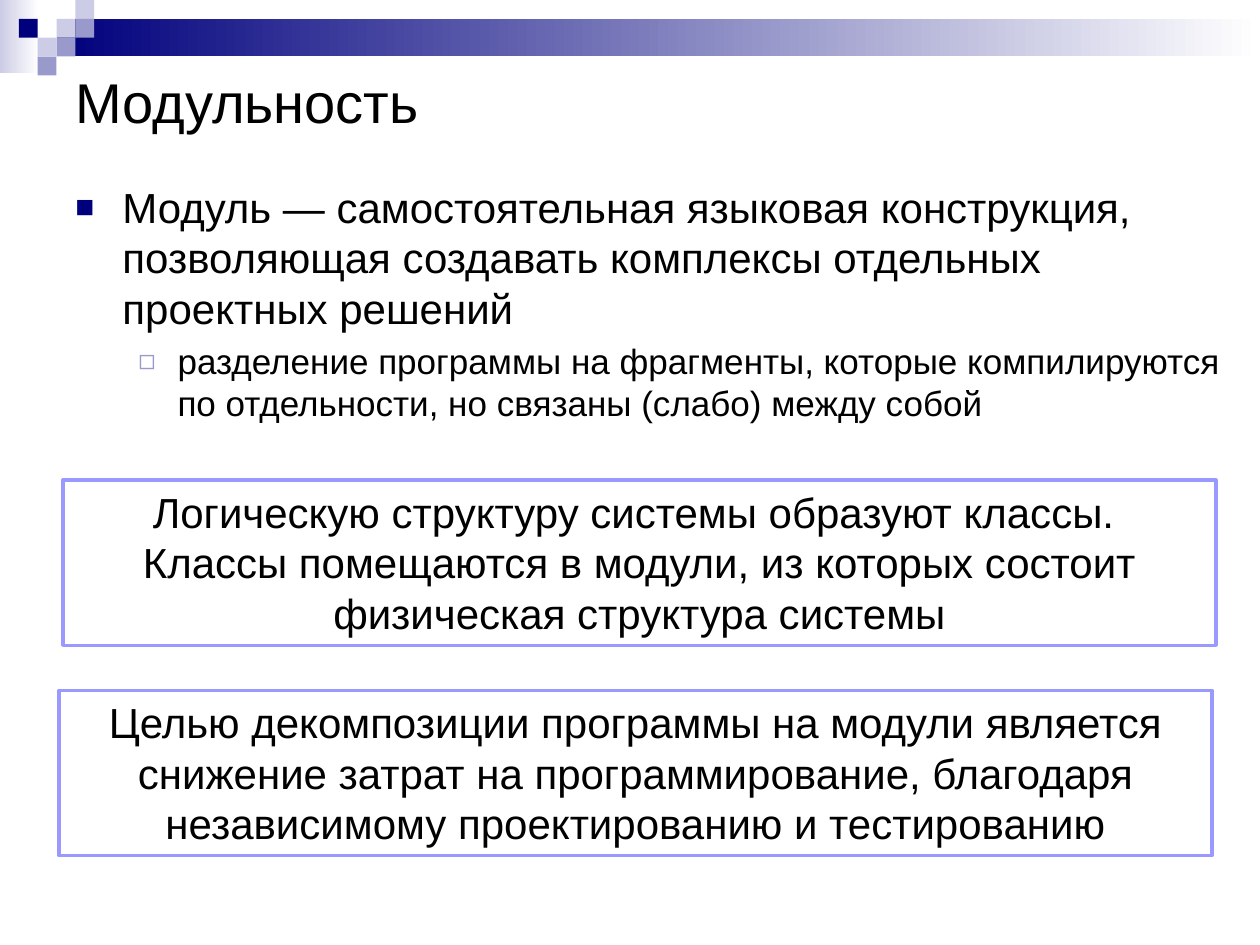
from lxml import etree
from pptx import Presentation
from pptx import util as u
from pptx.dml import color
from pptx.enum import shapes, text
from pptx.oxml import ns

COLORS = {"navy": "00007D", "lilac": "9999CC", "pale": "CCCCE6",
          "frame": "9999FF", "white": "FFFFFF", "black": "000000"}


def add_rectangle(left, top, width, height, *fill_names):
    """Add a borderless rectangle; two colours make a left-to-right gradient."""
    shape = slide.shapes.add_shape(shapes.MSO_SHAPE.RECTANGLE, u.Cm(left), u.Cm(top),
                                   u.Cm(width), u.Cm(height))
    shape.shadow.inherit = False
    shape.line.fill.background()
    if len(fill_names) == 1:
        shape.fill.solid()
        shape.fill.fore_color.rgb = color.RGBColor.from_string(COLORS[fill_names[0]])
    else:
        shape.fill.gradient()
        shape.fill.gradient_angle = 0
        for position, (stop, name) in enumerate(zip(shape.fill.gradient_stops, fill_names)):
            stop.position = position
            stop.color.rgb = color.RGBColor.from_string(COLORS[name])
    return shape


def write_paragraph(frame, index, words, size):
    """Write one run into the first paragraph or into a new one."""
    paragraph = frame.add_paragraph() if index else frame.paragraphs[0]
    run = paragraph.add_run()
    run.text = words
    run.font.size = u.Pt(size)
    run.font.name = "Arial"
    run.font.color.rgb = color.RGBColor.from_string(COLORS["black"])
    return paragraph


presentation = Presentation()
presentation.slide_width, presentation.slide_height = u.Cm(25.4), u.Cm(19.05)
slide = presentation.slides.add_slide(presentation.slide_layouts[6])

# Header bands
add_rectangle(0, 0, 0.79, 1.47, "pale", "white")
add_rectangle(1.14, 0.38, 24.26, 0.76, "navy", "white")

# Mosaic of squares: column, row, colour
SQUARE = 0.38
for column, row, name in [(3, 1, "pale"), (4, 0, "pale"), (4, 1, "lilac"), (2, 2, "pale"),
                          (1, 1, "navy"), (3, 2, "lilac"), (2, 3, "lilac")]:
    add_rectangle(column * SQUARE, row * SQUARE, SQUARE, SQUARE, name)

# Title
title = slide.shapes.add_textbox(u.Cm(1.27), u.Cm(1.12), u.Cm(22.86), u.Cm(1.85))
title.text_frame.word_wrap = True
title.text_frame.vertical_anchor = text.MSO_ANCHOR.MIDDLE
write_paragraph(title.text_frame, 0, "Модульность", 32)

# Bulleted definition: words, size, left margin, hanging indent, bullet, colour, bullet percent
body = slide.shapes.add_textbox(u.Cm(1.27), u.Cm(3.53), u.Cm(23.62), u.Cm(5.59))
body.text_frame.word_wrap = True
points = [
    ("Модуль — самостоятельная языковая конструкция, позволяющая создавать "
     "комплексы отдельных проектных решений", 24, 0.95, 0.95, "■", "navy", 75),
    ("разделение программы на фрагменты, которые компилируются по отдельности, "
     "но связаны (слабо) между собой", 20, 2.06, 0.79, "◻", "lilac", 80),
]
for level, (words, size, margin, hanging, bullet, name, percent) in enumerate(points):
    paragraph = write_paragraph(body.text_frame, level, words, size)
    paragraph.level = level
    paragraph.space_before = u.Pt(size * 0.2)
    properties = paragraph._p.get_or_add_pPr()
    properties.set("marL", str(u.Cm(margin)))
    properties.set("indent", str(-u.Cm(hanging)))
    bullet_color = etree.SubElement(properties, ns.qn("a:buClr"))
    etree.SubElement(bullet_color, ns.qn("a:srgbClr"), val=COLORS[name])
    etree.SubElement(properties, ns.qn("a:buSzPct"), val=str(percent * 1000))
    etree.SubElement(properties, ns.qn("a:buFont"), typeface="Arial")
    etree.SubElement(properties, ns.qn("a:buChar"), char=bullet)

# Framed conclusions
conclusions = [
    (1.27, 9.68, ["Логическую структуру системы образуют классы. ",
                  "Классы помещаются в модули, из которых состоит физическая структура системы"]),
    (1.19, 13.92, ["Целью декомпозиции программы на модули является снижение затрат на "
                   "программирование, благодаря независимому проектированию и тестированию"]),
]
for left, top, lines in conclusions:
    box = add_rectangle(left, top, 23.24, 3.33, "white")
    box.line.color.rgb = color.RGBColor.from_string(COLORS["frame"])
    box.line.width = u.Pt(2)
    box.text_frame.word_wrap = True
    box.text_frame.vertical_anchor = text.MSO_ANCHOR.TOP
    box.text_frame.auto_size = text.MSO_AUTO_SIZE.SHAPE_TO_FIT_TEXT
    for index, words in enumerate(lines):
        write_paragraph(box.text_frame, index, words, 24).alignment = text.PP_ALIGN.CENTER

presentation.save("out.pptx")
